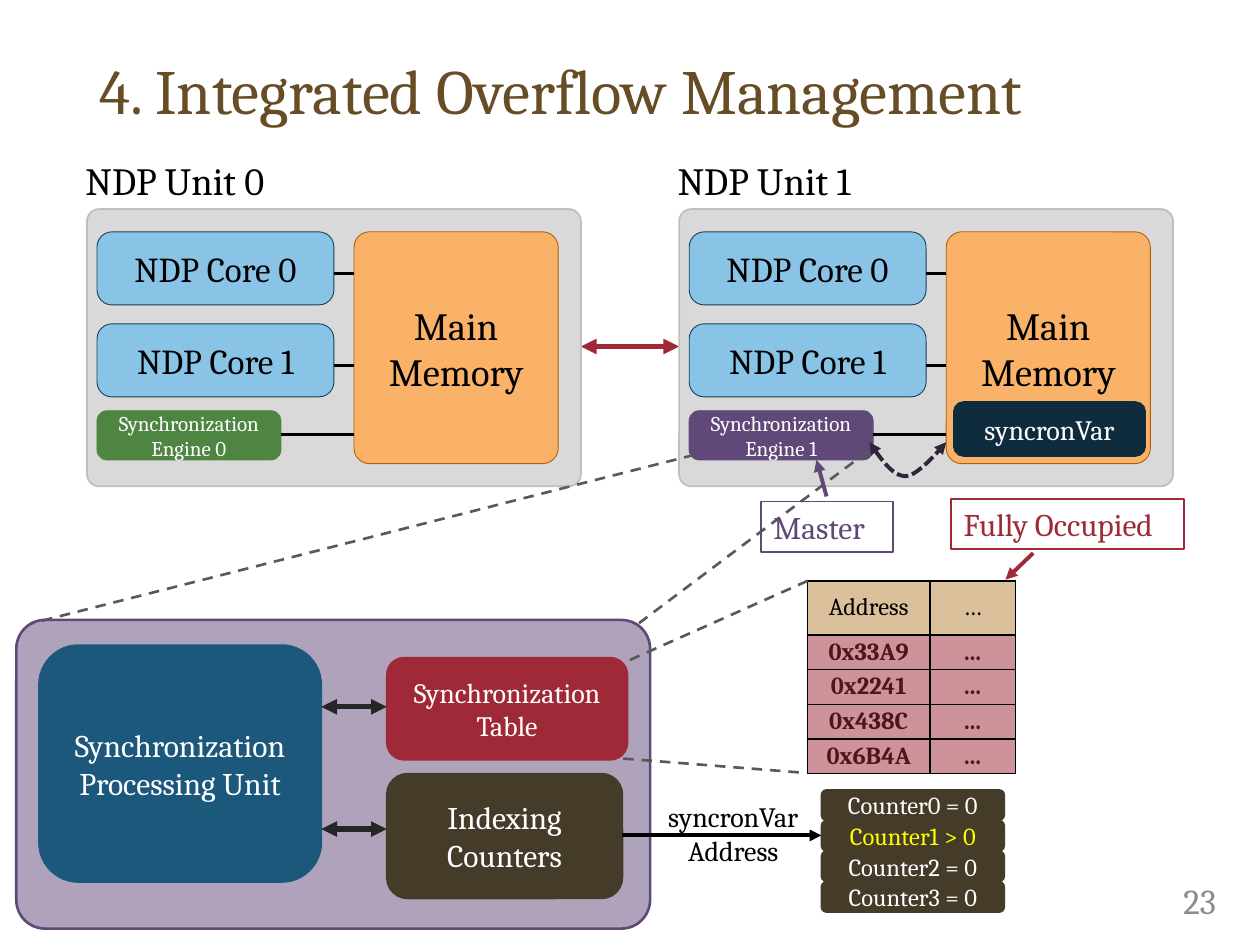
from pptx import Presentation
from pptx.dml.color import RGBColor
from pptx.enum.dml import MSO_LINE
from pptx.enum.shapes import MSO_CONNECTOR, MSO_SHAPE
from pptx.enum.text import MSO_ANCHOR, PP_ALIGN
from pptx.oxml import parse_xml
from pptx.oxml.ns import nsdecls
from pptx.util import Inches, Pt

FONT = "Cambria"
BLACK, WHITE, GRAY = "000000", "FFFFFF", "595959"
PURPLE, RED, BROWN = "604878", "9F2936", "443C29"
LEFT, CENTER, RIGHT = PP_ALIGN.LEFT, PP_ALIGN.CENTER, PP_ALIGN.RIGHT
HALF = f'<a:alpha {nsdecls("a")} val="50000"/>'

prs = Presentation()
prs.slide_width, prs.slide_height = Inches(10), Inches(7.5)
s = prs.slides.add_slide(prs.slide_layouts[6])


def box(x, y, w, h, lines=(), size=18, color=WHITE, fill=None, edge=None,
        width=1, adj=None, align=CENTER, anchor=MSO_ANCHOR.MIDDLE, wrap=True):
    """Text box without an edge, rectangle with one, rounded if adj is set."""
    place = [Inches(v) for v in (x, y, w, h)]
    if edge is None:
        sp = s.shapes.add_textbox(*place)
    else:
        kind = MSO_SHAPE.RECTANGLE if adj is None else MSO_SHAPE.ROUNDED_RECTANGLE
        sp = s.shapes.add_shape(kind, *place)
        sp.shadow.inherit = False
        sp.line.color.rgb = RGBColor.from_string(edge)
        sp.line.width = Pt(width)
        if adj is not None:
            sp.adjustments[0] = adj
        if fill:
            sp.fill.solid()
            sp.fill.fore_color.rgb = RGBColor.from_string(fill)
        else:
            sp.fill.background()
    tf = sp.text_frame
    tf.word_wrap = wrap
    tf.vertical_anchor = anchor
    for i, text in enumerate(lines):
        p = tf.add_paragraph() if i else tf.paragraphs[0]
        p.alignment = align
        r = p.add_run()
        r.text = text
        r.font.name, r.font.size = FONT, Pt(size)
        r.font.color.rgb = RGBColor.from_string(color)
    return sp


def line(points, color=BLACK, width=1.5, dash=None, ends=()):
    """Connector through two points, open freeform through more."""
    pts = [(Inches(x), Inches(y)) for x, y in points]
    if len(pts) == 2:
        sp = s.shapes.add_connector(MSO_CONNECTOR.STRAIGHT, *pts[0], *pts[1])
    else:
        path = s.shapes.build_freeform(*pts[0])
        path.add_line_segments(pts[1:], close=False)
        sp = path.convert_to_shape()
        sp.fill.background()
    sp.line.color.rgb = RGBColor.from_string(color)
    sp.line.width = Pt(width)
    if dash:
        sp.line.dash_style = dash
    for end in ends:
        sp.line._get_or_add_ln().append(
            parse_xml(f'<a:{end} {nsdecls("a")} type="triangle"/>'))
    sp._element.spPr.append(parse_xml(f'<a:effectLst {nsdecls("a")}/>'))


BOTH, TAIL = ("headEnd", "tailEnd"), ("tailEnd",)

# Title and slide number
title = box(0.69, 0.2, 8.62, 1.1, ["4. Integrated Overflow Management"], 36,
            "674D26", align=LEFT)
title.text_frame.paragraphs[0].line_spacing = 0.9
box(8.67, 6.95, 1.08, 0.4, ["23"], 20, "8C8C8C", align=RIGHT)

# Two NDP units and the link between them
line([(4.61, 2.75), (5.39, 2.75)], RED, 3, ends=BOTH)
for unit, engine_color in enumerate(("4E8542", PURPLE)):
    x = 0.69 + 4.7 * unit
    box(x - 0.11, 1.2, 1.66, 0.47, [f"NDP Unit {unit}"], 22, BLACK,
        align=LEFT, anchor=MSO_ANCHOR.TOP, wrap=False)
    box(x, 1.66, 3.92, 2.2, fill="D9D9D9", edge="BFBFBF", adj=0.044)
    box(x + 2.12, 1.84, 1.62, 1.84, ["Main Memory"], 22, BLACK,
        "F9B268", "B45F07", 0.5, 0.076)
    for core in range(2):
        y = 1.84 + 0.73 * core
        box(x + 0.08, y, 1.88, 0.58, [f"NDP Core {core}"], 20, BLACK,
            "89C3E5", "14425D", 0.5, 0.204)
        line([(x + 2.12, y + 0.33), (x + 1.96, y + 0.33)])
    box(x + 0.08, 3.26, 1.46, 0.39, ["Synchronization", f"Engine {unit}"], 12,
        WHITE, engine_color, engine_color, 0.5, 0.204)
    line([(x + 1.54, 3.45), (x + 2.12, 3.45)])

# Curved arrow between engine 1 and memory, sampled from two Bezier curves
curve = [(6.9, 3.51)]
for a, b, c, d in (((6.9, 3.51), (6.99, 3.64), (7.08, 3.78), (7.19, 3.78)),
                   ((7.19, 3.78), (7.29, 3.78), (7.51, 3.51), (7.51, 3.51))):
    for t in [k / 12 for k in range(1, 13)]:
        curve.append(tuple(
            (1 - t) ** 3 * a[i] + 3 * (1 - t) ** 2 * t * b[i]
            + 3 * (1 - t) * t ** 2 * c[i] + t ** 3 * d[i] for i in (0, 1)))
line(curve, "30243C", 2.25, MSO_LINE.SQUARE_DOT, BOTH)

# Zoom lines from engine 1, variable and master label
line([(6.89, 3.58), (5.04, 4.97)], GRAY, dash=MSO_LINE.DASH)
line([(5.51, 3.61), (0.24, 4.95)], GRAY, dash=MSO_LINE.DASH)
box(7.58, 3.2, 1.5, 0.41, ["syncronVar"], 16, WHITE, "0E2C3E", "0E2C3E", 2.25, 0.167)
box(6.04, 3.98, 1.05, 0.4, ["Master"], 18, PURPLE, edge=PURPLE,
    align=LEFT, anchor=MSO_ANCHOR.TOP)
line([(6.56, 3.94), (6.48, 3.65)], PURPLE, 2.25, ends=TAIL)

# Engine internals
panel = box(0.13, 4.92, 5.03, 2.45, fill=PURPLE, edge=PURPLE, width=1.5, adj=0.093)
panel._element.spPr.find(".//{*}srgbClr").append(parse_xml(HALF))
for x, y, w, h, lines, size, fill in (
        (0.31, 5.12, 2.24, 1.88, ["Synchronization", "Processing Unit"], 18, "1B587C"),
        (3.07, 5.22, 1.91, 0.81, ["Synchronization", "Table"], 16, RED),
        (3.07, 6.14, 1.87, 0.99, ["Indexing Counters"], 18, BROWN)):
    box(x, y, w, h, lines, size, WHITE, fill, fill, 1, 0.167)
for y in (5.61, 6.58):
    line([(2.55, y), (3.07, y)], "262626", 3, ends=BOTH)

# Counters
for i, sign in enumerate("=>=="):
    box(6.52, 6.27 + 0.243 * i, 1.45, 0.24, [f"Counter{i} {sign} 0"], 14,
        "FFFF00" if sign == ">" else WHITE, BROWN, BROWN, 1, 0.167)
box(5.07, 6.3, 1.5, 0.64, ["syncronVar", "Address"], 16, BLACK, anchor=MSO_ANCHOR.TOP)
line([(4.94, 6.63), (6.52, 6.63)], width=2.25, ends=TAIL)

# Synchronization table contents
rows = ["Address", "0x33A9", "0x2241", "0x438C", "0x6B4A"]
table = s.shapes.add_table(5, 2, Inches(6.41), Inches(4.61),
                           Inches(1.65), Inches(1.53)).table
table.columns[0].width, table.columns[1].width = Inches(0.97), Inches(0.68)
for i, label in enumerate(rows):
    table.rows[i].height = Inches(0.275 if i else 0.43)
    for cell, text in zip(table.rows[i].cells, (label, "…")):
        cell.margin_top = cell.margin_bottom = 0
        cell.margin_left = cell.margin_right = Inches(0.05)
        cell.vertical_anchor = MSO_ANCHOR.MIDDLE
        tcPr = cell._tc.get_or_add_tcPr()
        for side in "LRTB":
            tcPr.append(parse_xml(
                f'<a:ln{side} {nsdecls("a")} w="12700"><a:solidFill>'
                f'<a:srgbClr val="{BLACK}"/></a:solidFill></a:ln{side}>'))
        cell.fill.solid()
        cell.fill.fore_color.rgb = RGBColor.from_string(RED if i else "DAC19B")
        if i:
            tcPr.find("{*}solidFill/{*}srgbClr").append(parse_xml(HALF))
        p = cell.text_frame.paragraphs[0]
        p.alignment = CENTER
        r = p.add_run()
        r.text = text
        r.font.name, r.font.size, r.font.bold = FONT, Pt(14), i > 0
        r.font.color.rgb = RGBColor.from_string("50141B" if i else BLACK)

# Zoom lines to the table and its label
line([(6.41, 4.61), (4.95, 5.26)], GRAY, dash=MSO_LINE.DASH)
line([(6.34, 6.13), (4.94, 6.02)], GRAY, dash=MSO_LINE.DASH)
box(7.55, 3.96, 1.85, 0.4, ["Fully Occupied"], 18, RED, edge=RED,
    align=LEFT, anchor=MSO_ANCHOR.TOP)
line([(8.2, 4.39), (7.98, 4.6)], RED, 2.25, ends=TAIL)

prs.save("out.pptx")
